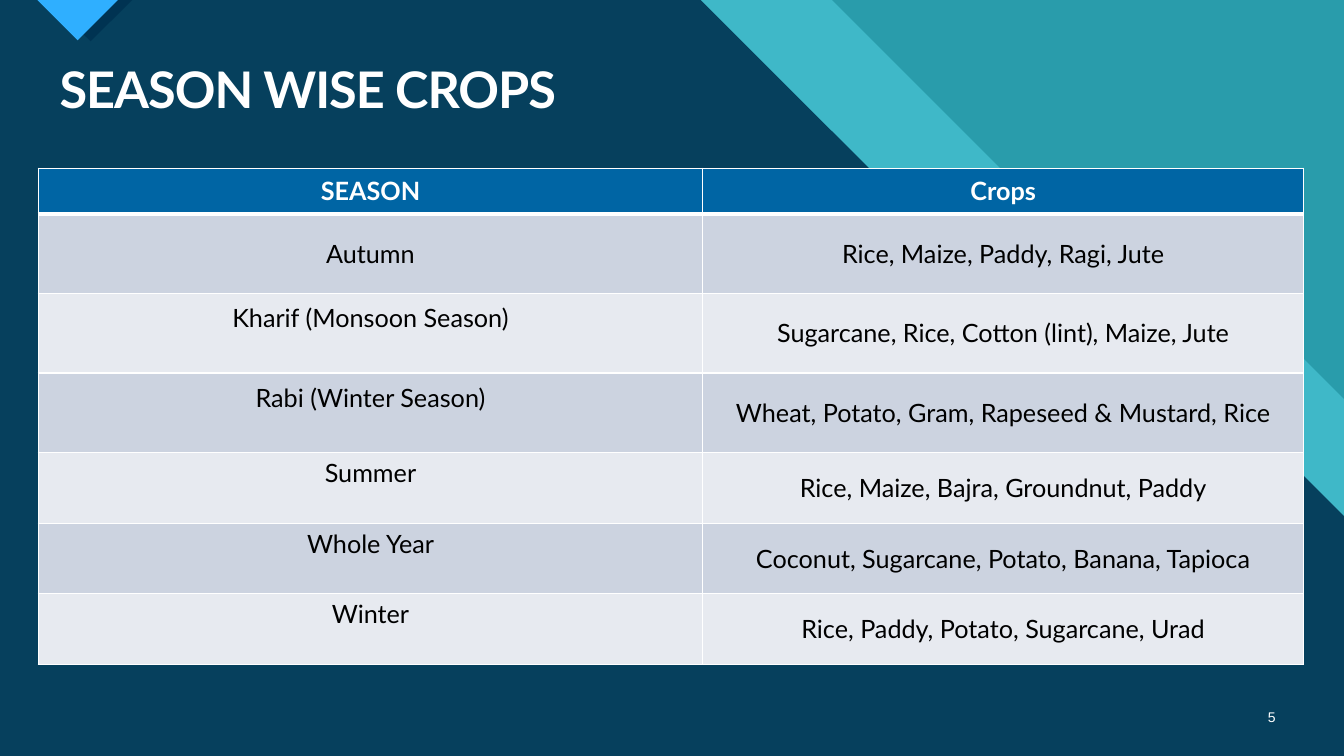
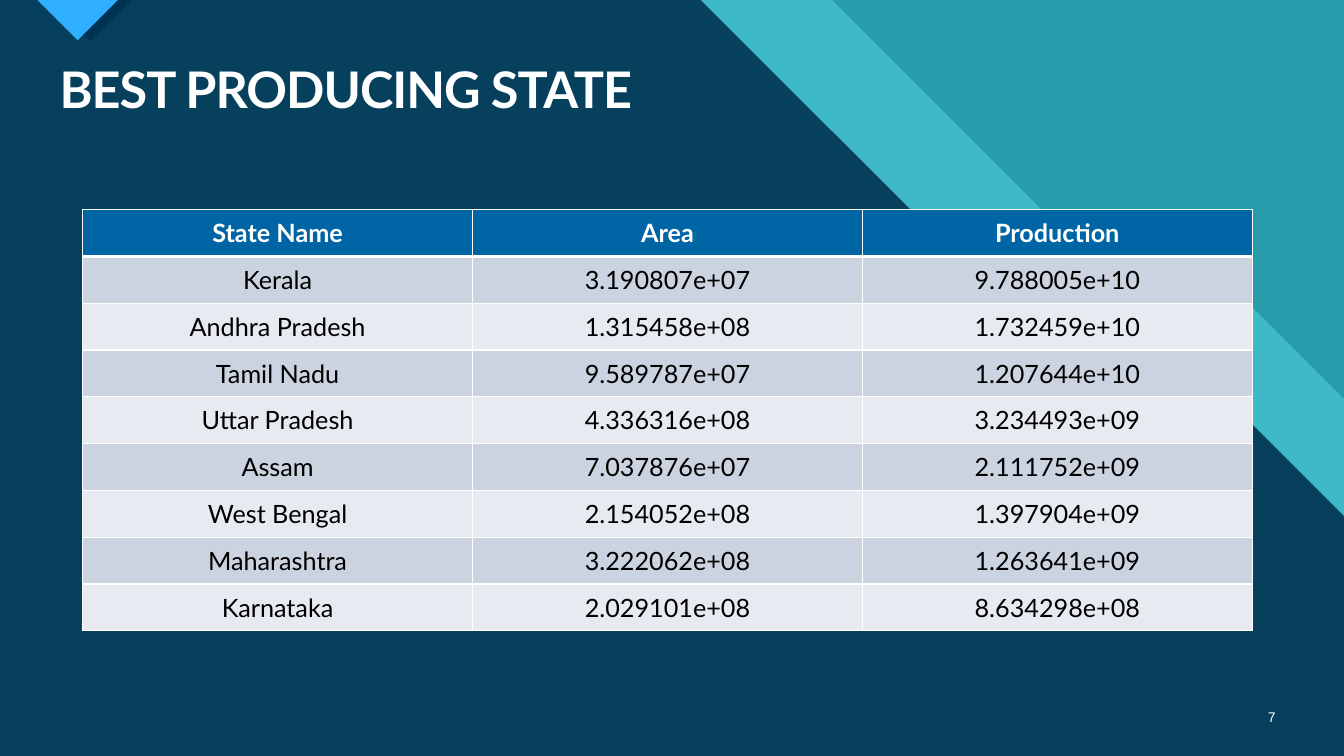
from lxml.etree import SubElement
from pptx import Presentation
from pptx.dml.color import RGBColor
from pptx.enum.text import MSO_ANCHOR as Anchor, PP_ALIGN as Align
from pptx.oxml.ns import qn
from pptx.util import Inches, Pt

WHITE, BLACK = "FFFFFF", "000000"
TEAL, AQUA, NAVY, BLUE = "299CAB", "47C3D3", "003352", "2FAFFF"
HEADER_FILL = "0065A4"
BAND_FILLS = ("CCD3E0", "E7EAF0")
TITLE_BOX = (0.49, 0.59, 12.26, 0.65)
NUMBER_BOX = (12.31, 6.91, 0.44, 0.4)
CELL_MARGIN, LINE_HEIGHT = 0.05, 0.3

BACKDROP = (
    (AQUA, 74, ((0, 0), (8.25, 0), (11.22, 2.97), (12.34, 2.97),
                (13.33, 3.96), (13.33, 7.5), (0, 7.5))),
    (NAVY, 90, ((0, 0), (6.95, 0), (9.92, 2.97), (11.18, 2.97),
                (13.33, 5.12), (13.33, 7.5), (0, 7.5))),
    (NAVY, 100, ((0.48, 0), (1.31, 0), (0.9, 0.41))),
    (BLUE, 100, ((0.37, 0), (1.17, 0), (0.77, 0.4))),
)

SEASONS = (
    ("SEASON", "Crops"),
    ("Autumn", "Rice, Maize, Paddy, Ragi, Jute"),
    ("Kharif (Monsoon Season)", "Sugarcane, Rice, Cotton (lint), Maize, Jute"),
    ("Rabi (Winter Season)", "Wheat, Potato, Gram, Rapeseed & Mustard, Rice"),
    ("Summer", "Rice, Maize, Bajra, Groundnut, Paddy"),
    ("Whole Year", "Coconut, Sugarcane, Potato, Banana, Tapioca"),
    ("Winter", "Rice, Paddy, Potato, Sugarcane, Urad"),
)

STATES = (
    ("State Name", "Area", "Production"),
    ("Kerala", "3.190807e+07", "9.788005e+10"),
    ("Andhra Pradesh", "1.315458e+08", "1.732459e+10"),
    ("Tamil Nadu", "9.589787e+07", "1.207644e+10"),
    ("Uttar Pradesh", "4.336316e+08", "3.234493e+09"),
    ("Assam", "7.037876e+07", "2.111752e+09"),
    ("West Bengal", "2.154052e+08", "1.397904e+09"),
    ("Maharashtra", "3.222062e+08", "1.263641e+09"),
    ("Karnataka", "2.029101e+08", "8.634298e+08"),
)


def color(hex_string):
    return RGBColor.from_string(hex_string)


def fill_solid(fill, hex_string):
    fill.solid()
    fill.fore_color.rgb = color(hex_string)


def format_paragraph(paragraph, size, name, hex_string, bold, align):
    paragraph.alignment = align
    paragraph.font.size = Pt(size)
    paragraph.font.name = name
    paragraph.font.bold = bold
    paragraph.font.color.rgb = color(hex_string)


def add_polygon(slide, hex_string, opacity, points):
    corners = [(Inches(x), Inches(y)) for x, y in points]
    builder = slide.shapes.build_freeform(*corners[0])
    builder.add_line_segments(corners[1:])
    shape = builder.convert_to_shape()
    shape.shadow.inherit = False
    fill_solid(shape.fill, hex_string)
    shape.line.fill.background()
    if opacity < 100:
        fill_color = shape.element.spPr.find(qn("a:solidFill")).find(qn("a:srgbClr"))
        SubElement(fill_color, qn("a:alpha")).set("val", str(opacity * 1000))
    return shape


def move_backdrop_to_layout(slide, layout):
    fill_solid(layout.background.fill, TEAL)
    for index, polygon in enumerate(BACKDROP, start=2):
        layout.shapes.element.insert(index, add_polygon(slide, *polygon).element)


def place_title(slide, text, box):
    title = slide.shapes.title
    title.left, title.top, title.width, title.height = map(Inches, box)
    title.text_frame.text = text
    paragraph = title.text_frame.paragraphs[0]
    format_paragraph(paragraph, 36, "Lato", WHITE, True, Align.LEFT)
    paragraph.line_spacing = 0.9
    paragraph.runs[0].font._element.set("spc", "-70")


def add_page_number(slide, number, box):
    frame = slide.shapes.add_textbox(*map(Inches, box)).text_frame
    frame.word_wrap = True
    frame.vertical_anchor = Anchor.MIDDLE
    frame.text = str(number)
    format_paragraph(frame.paragraphs[0], 10, "Arial", WHITE, False, Align.RIGHT)


def set_borders(cell, top, bottom):
    properties = cell._tc.get_or_add_tcPr()
    for side, width in (("L", 1), ("R", 1), ("T", top), ("B", bottom)):
        line = SubElement(properties, qn(f"a:ln{side}"), w=str(Pt(width)))
        fill = SubElement(line, qn("a:solidFill"))
        SubElement(fill, qn("a:srgbClr")).set("val", WHITE)


def format_cell(cell, text, row):
    header = row == 0
    set_borders(cell, 3 if row == 1 else 1, 3 if header else 1)
    fill_solid(cell.fill, HEADER_FILL if header else BAND_FILLS[(row - 1) % 2])
    cell.vertical_anchor = Anchor.MIDDLE
    cell.margin_top = cell.margin_bottom = Inches(CELL_MARGIN)
    cell.text = text
    format_paragraph(cell.text_frame.paragraphs[0], 18, "Lato",
                     WHITE if header else BLACK, header, Align.CENTER)


def add_data_table(slide, rows, left, top, widths, heights):
    table = slide.shapes.add_table(
        len(rows), len(widths), Inches(left), Inches(top),
        Inches(sum(widths)), Inches(sum(heights))).table
    for column, width in zip(table.columns, widths):
        column.width = Inches(width)
    for row, (texts, height) in enumerate(zip(rows, heights)):
        table.rows[row].height = Inches(height)
        for column, text in enumerate(texts):
            format_cell(table.cell(row, column), text, row)
    return table


def add_content_slide(presentation, layout, title, number):
    slide = presentation.slides.add_slide(layout)
    place_title(slide, title, TITLE_BOX)
    add_page_number(slide, number, NUMBER_BOX)
    return slide


def main():
    presentation = Presentation()
    presentation.slide_width = Inches(13.33)
    presentation.slide_height = Inches(7.5)
    layout = presentation.slide_layouts[5]

    season_slide = add_content_slide(presentation, layout, "SEASON WISE CROPS", 5)
    move_backdrop_to_layout(season_slide, layout)
    season_table = add_data_table(season_slide, SEASONS, 0.38, 1.67, [6.59, 5.96],
                                  [0.45] + [0.79] * 3 + [0.7] * 3)
    for row in range(2, len(SEASONS)):
        season_table.cell(row, 0).margin_bottom = Inches(CELL_MARGIN + LINE_HEIGHT)

    state_slide = add_content_slide(presentation, layout, "BEST PRODUCING STATE", 7)
    add_data_table(state_slide, STATES, 0.82, 2.08, [11.6 / 3] * 3,
                   [4.18 / len(STATES)] * len(STATES))

    presentation.save("out.pptx")


if __name__ == "__main__":
    main()
